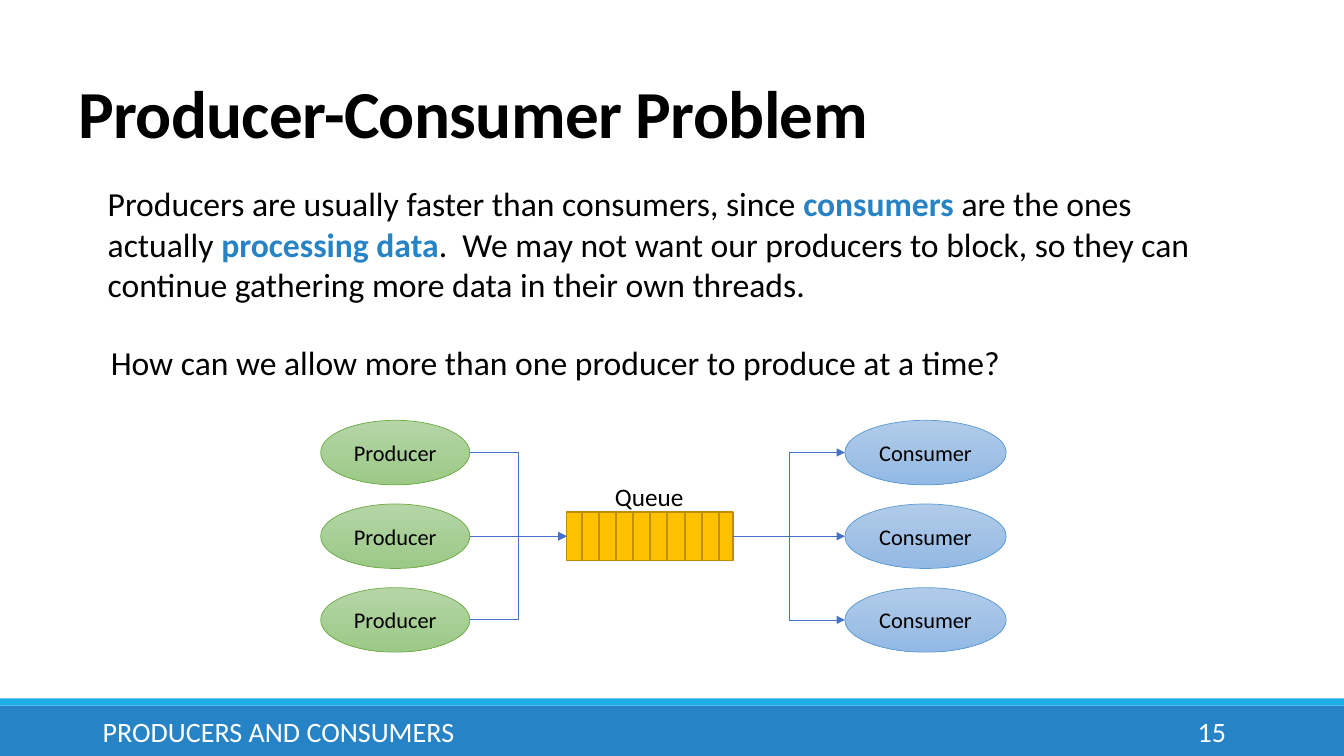
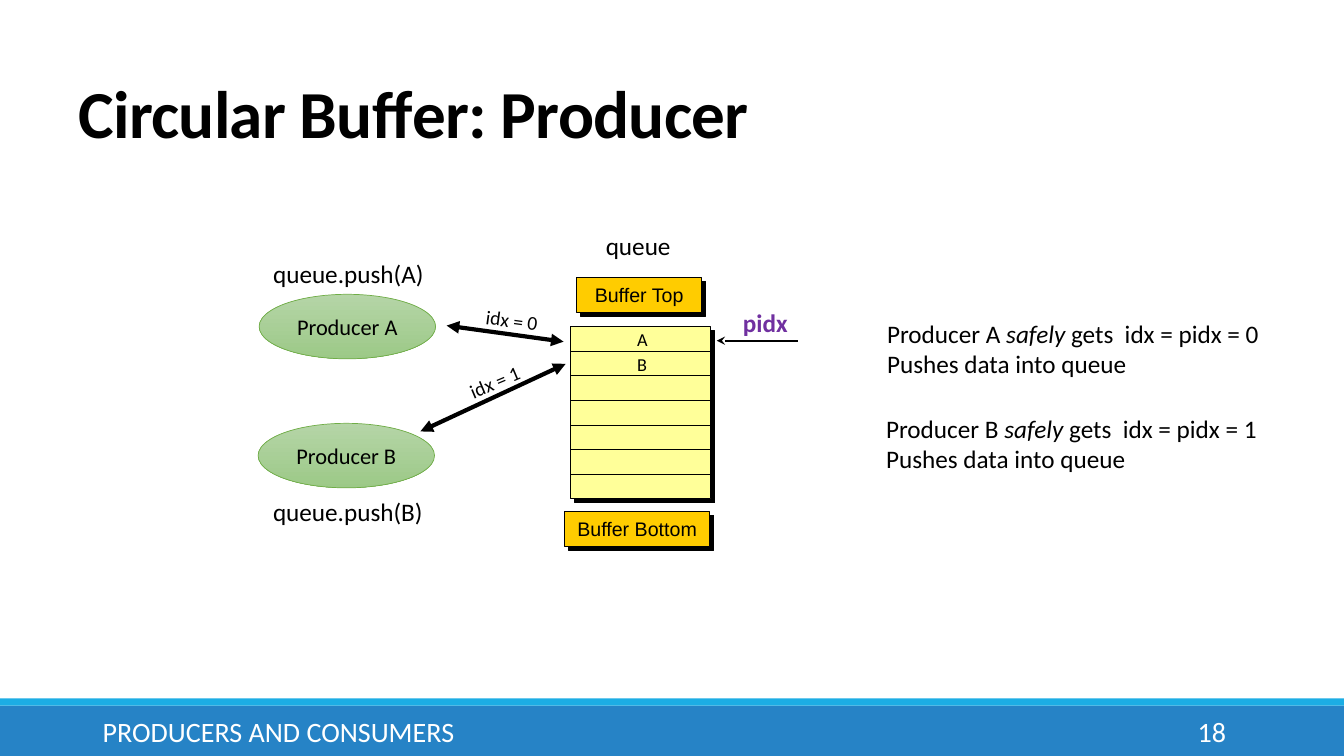
"""Build two slides on producers, consumers and a circular buffer."""
from lxml import etree
from pptx import Presentation
from pptx.dml.color import RGBColor
from pptx.enum.shapes import MSO_CONNECTOR, MSO_SHAPE
from pptx.enum.text import MSO_ANCHOR, MSO_AUTO_SIZE, PP_ALIGN
from pptx.oxml.ns import qn
from pptx.util import Inches, Pt

RECT, OVAL = MSO_SHAPE.RECTANGLE, MSO_SHAPE.OVAL
LINE, ELBOW = MSO_CONNECTOR.STRAIGHT, MSO_CONNECTOR.ELBOW
LEFT, MID, RIGHT = PP_ALIGN.LEFT, PP_ALIGN.CENTER, PP_ALIGN.RIGHT
TOP, CENTRE, BASE = MSO_ANCHOR.TOP, MSO_ANCHOR.MIDDLE, MSO_ANCHOR.BOTTOM
GROW = MSO_AUTO_SIZE.SHAPE_TO_FIT_TEXT


class Theme:
    """Colours, fonts and type sizes."""
    ink, paper, band, strip = "000000", "FFFFFF", "2683C6", "1CADE4"
    green, green_edge = ("B5D5A7", "9CC987"), "70AD47"
    blue, blue_edge = ("B1CBE9", "93B9E4"), "5B9BD5"
    link, queue, queue_edge, slot = "4472C4", "FFC000", "BD8E00", "BF9000"
    gold, cream, index = "FFCC00", "FFFF99", "7030A0"
    font, plain = "Calibri", "Arial"
    title, body, foot, label, node, small, cell = 48, 24, 20, 18, 16, 14, 13


FOOT = "PRODUCERS AND CONSUMERS"
KEY = {"bold": True, "color": Theme.band}
SLANT = {"italic": True}

FLOW = {
    "title": "Producer-Consumer Problem",
    "page": "15",
    "body": [
        ([[("Producers are usually faster than consumers, since ", {}),
           ("consumers", KEY),
           (" are the ones actually ", {}),
           ("processing data", KEY),
           (".  We may not want our producers to block, so they can "
            "continue gathering more data in their own threads.", {})]],
         (0.97, 1.77, 11.41, 1.31)),
        ("How can we allow more than one producer to produce at a time?",
         (1, 3.34, 11.41, 0.5)),
    ],
    "nodes": ("Producer", "Consumer"),
    "queue": "Queue",
    "count": 3,
    "slots": 10,
}

RING = {
    "title": "Circular Buffer: Producer",
    "page": "18",
    "nodes": [("Producer A", 2.57, 2.92), ("Producer B", 2.56, 4.2)],
    "labels": [
        ("queue", (5.91, 2.24, 0.85, 0.4)),
        ("queue.push(A)", (2.61, 2.51, 1.71, 0.4)),
        ("queue.push(B)", (2.61, 4.87, 1.74, 0.4)),
    ],
    "caps": [("Buffer Top", (5.72, 2.75, 1.24, 0.35)),
             ("Buffer Bottom", (5.6, 5.07, 1.44, 0.35))],
    "cells": ["A", "B", "", "", "", "", ""],
    "index": "pidx",
    "moves": [
        ("idx = 0", (4.72, 3.01, 0.72, 0.34), 7.7, (4.43, 3.23, 5.59, 3.39)),
        ("idx = 1", (4.55, 3.62, 0.72, 0.34), 337.2, (4.17, 4.28, 5.61, 3.61)),
    ],
    "steps": [("A", "0", (8.7, 3.11, 4.3, 0.71)),
              ("B", "1", (8.69, 4.05, 4.3, 0.71))],
}


def rgb(code):
    """Turn a hex code into a colour."""
    return RGBColor.from_string(code)


def write(shape, text, size=Theme.label, color=Theme.ink, font=Theme.font,
          bold=False, italic=False, align=LEFT, anchor=TOP, wrap=True,
          space=None, track=None):
    """Put text, or paragraphs of (text, format) runs, into a shape."""
    frame = shape.text_frame
    frame.word_wrap, frame.vertical_anchor = wrap, anchor
    rows = [[(text, {})]] if isinstance(text, str) else text
    for i, row in enumerate(rows):
        para = frame.add_paragraph() if i else frame.paragraphs[0]
        para.alignment = align
        if space:
            para.line_spacing = space
        for words, extra in row:
            run = para.add_run()
            run.text = words
            face = run.font
            face.name, face.size = font, Pt(size)
            face.bold = extra.get("bold", bold)
            face.italic = extra.get("italic", italic)
            face.color.rgb = rgb(extra.get("color", color))
            if track:
                face._element.set("spc", str(track))


def label(slide, text, box, grow=True, turn=0, **form):
    """Add a text box."""
    shape = slide.shapes.add_textbox(*map(Inches, box))
    write(shape, text, **form)
    if grow:
        shape.text_frame.auto_size = GROW
    shape.rotation = turn


def block(slide, kind, box, fill, edge=None, width=0.75):
    """Add a shape with a plain fill or a gradient pair."""
    shape = slide.shapes.add_shape(kind, *map(Inches, box))
    shape.shadow.inherit = False
    if isinstance(fill, tuple):
        shape.fill.gradient()
        shape.fill.gradient_angle = 270
        for stop, code in zip(shape.fill.gradient_stops, fill):
            stop.color.rgb = rgb(code)
    else:
        shape.fill.solid()
        shape.fill.fore_color.rgb = rgb(fill)
    if edge:
        shape.line.color.rgb = rgb(edge)
        shape.line.width = Pt(width)
    else:
        shape.line.fill.background()
    return shape


def node(slide, text, box, fill, edge):
    """Add a captioned oval."""
    shape = block(slide, OVAL, box, fill, edge, 0.5)
    write(shape, text, size=Theme.node, align=MID, anchor=CENTRE)


def link(slide, ends, color=Theme.ink, width=0.75, kind=LINE, head=None,
         tail=None):
    """Add a connector with optional arrowheads."""
    wire = slide.shapes.add_connector(kind, *map(Inches, ends))
    wire.line.color.rgb = rgb(color)
    wire.line.width = Pt(width)
    props = wire._element.spPr
    line = props.find(qn("a:ln"))
    for tag, style in (("a:headEnd", head), ("a:tailEnd", tail)):
        if style:
            etree.SubElement(line, qn(tag), type=style)
    etree.SubElement(props, qn("a:effectLst"))
    return wire


def start(deck, data):
    """Add a slide with its bands, title and footer."""
    slide = deck.slides.add_slide(deck.slide_layouts[6])
    block(slide, RECT, (0, 7, 13.33, 0.5), Theme.band)
    block(slide, RECT, (0, 6.93, 13.33, 0.07), Theme.strip)
    label(slide, data["title"], (0.68, 0.71, 11, 0.85), grow=False,
          size=Theme.title, bold=True, anchor=BASE, space=0.85, track=-50)
    for text, box, align in ((FOOT, (0.92, 7.06, 8.39, 0.4), LEFT),
                             (data["page"], (10.83, 7.06, 1.43, 0.4), RIGHT)):
        label(slide, text, box, grow=False, size=Theme.foot,
              color=Theme.paper, align=align, anchor=CENTRE)
    return slide


def flow(deck):
    """Draw producers feeding consumers through a queue."""
    slide = start(deck, FLOW)
    for text, box in FLOW["body"]:
        label(slide, text, box, size=Theme.body)
    left, top, wide, high = 5.62, 5.08, 1.65, 0.48
    right, mid = left + wide, top + high / 2
    queue = block(slide, RECT, (left, top, wide, high), Theme.queue,
                  Theme.queue_edge, 1)
    for i in range(FLOW["slots"] - 1):
        x = 5.77 + 0.17 * i
        link(slide, (x, top + high, x, top), Theme.slot, 1.5)
    label(slide, FLOW["queue"], (6, 4.73, 0.89, 0.4), wrap=False)

    maker, taker = FLOW["nodes"]
    x1, w1, x2, w2, tall, step = 3.18, 1.48, 8.38, 1.6, 0.64, 0.83
    for i in range(FLOW["count"]):
        y = mid + (i - (FLOW["count"] - 1) / 2) * step
        node(slide, maker, (x1, y - tall / 2, w1, tall),
             Theme.green, Theme.green_edge)
        node(slide, taker, (x2, y - tall / 2, w2, tall),
             Theme.blue, Theme.blue_edge)
        level = abs(y - mid) < 0.01
        form = {"color": Theme.link, "width": 0.5, "tail": "triangle",
                "kind": LINE if level else ELBOW}
        enter = link(slide, (x1 + w1, y, left, mid), **form)
        leave = link(slide, (right, mid, x2, y), **form)
        if level:
            enter.end_connect(queue, 1)
            leave.begin_connect(queue, 3)


def ring(deck):
    """Draw two producers pushing into a circular buffer."""
    slide = start(deck, RING)
    x, y, wide, high = stack = (5.66, 3.24, 1.39, 1.71)

    def raised(box, fill):
        """Add a block over its hard black shade."""
        shade = (box[0] + 0.04, box[1] + 0.04, *box[2:])
        block(slide, RECT, shade, Theme.ink, Theme.ink)
        return block(slide, RECT, box, fill, Theme.ink)

    for text, box in RING["caps"]:
        write(raised(box, Theme.gold), text, size=Theme.small,
              font=Theme.plain, align=MID, anchor=CENTRE, wrap=False)
    raised(stack, Theme.cream)
    step = high / len(RING["cells"])
    for i, text in enumerate(RING["cells"]):
        row = y + step * i
        if i:
            link(slide, (x, row, x + wide, row))
        if text:
            label(slide, text, (6.22, row - 0.03, 0.31, 0.32),
                  size=Theme.cell, wrap=False)

    link(slide, (7.91, 3.38, 7.11, 3.38), width=1.5, tail="stealth")
    label(slide, RING["index"], (7.27, 3, 0.65, 0.4), color=Theme.index,
          bold=True, wrap=False)
    for text, *spot in RING["nodes"]:
        node(slide, text, (*spot, 1.75, 0.64), Theme.green, Theme.green_edge)
    for text, box in RING["labels"]:
        label(slide, text, box, wrap=False)
    for text, box, turn, ends in RING["moves"]:
        link(slide, ends, width=3, head="triangle", tail="triangle")
        label(slide, text, box, turn=turn, size=Theme.small, wrap=False)
    for name, slot, box in RING["steps"]:
        label(slide, [[(f"Producer {name} ", {}), ("safely", SLANT),
                       (f" gets  idx = pidx = {slot}", {})],
                      [("Pushes data into queue", {})]], box)


def main():
    """Build and save the deck."""
    deck = Presentation()
    deck.slide_width, deck.slide_height = Inches(13.33), Inches(7.5)
    flow(deck)
    ring(deck)
    deck.save("out.pptx")


if __name__ == "__main__":
    main()
